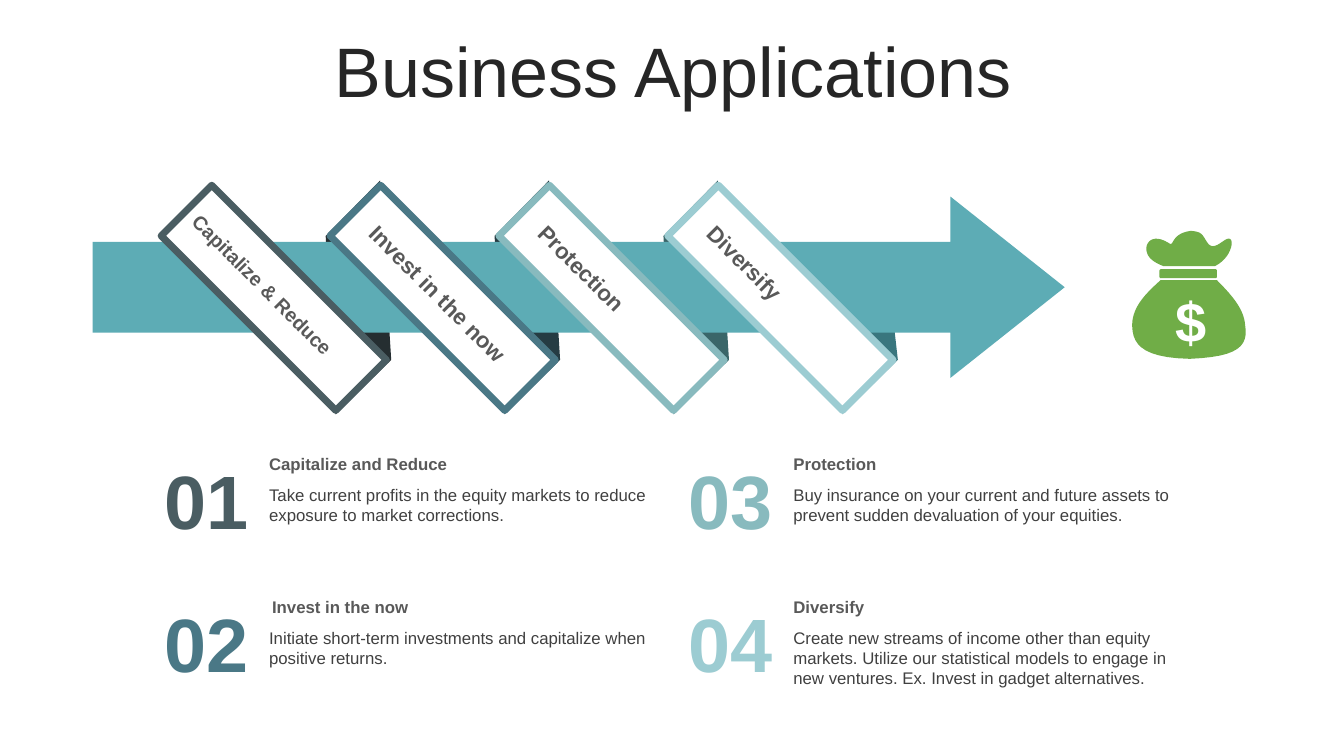
"""Build the Business Applications slide: a ribboned arrow above four numbered points."""
from pptx import Presentation
from pptx.dml.color import RGBColor
from pptx.enum.shapes import MSO_SHAPE
from pptx.enum.text import MSO_ANCHOR, MSO_AUTO_SIZE, PP_ALIGN
from pptx.util import Inches, Pt

COLORS = {
    "title": "262626", "label": "595959", "body": "404040", "white": "FFFFFF",
    "arrow": "5DACB5", "bag": "70AD47",
    "ribbons": ["4A5D62", "4A7886", "88BABE", "9CCCD2"],
    "folds": ["252E31", "253C43", "3A6669", "39767E"],
}
TITLE = "Business Applications"
POINTS = [
    ("Capitalize & Reduce", "Capitalize and Reduce",
     "Take current profits in the equity markets to reduce exposure to market corrections."),
    ("Invest in the now", "Invest in the now",
     "Initiate short-term investments and capitalize when positive returns."),
    ("Protection", "Protection",
     "Buy insurance on your current and future assets to prevent sudden devaluation of your equities."),
    ("Diversify", "Diversify",
     "Create new streams of income other than equity markets. Utilize our statistical models "
     "to engage in new ventures. Ex. Invest in gadget alternatives."),
]
STEP = 1.675
FOLD = [(3.23, 2.34), (3.33, 4.11), (3.88, 3.57), (3.77, 1.79)]
SACK = [(11.51, 2.78), (12.07, 2.78), (12.26, 2.97, 12.34, 3.09, 12.35, 3.23),
        (12.38, 3.43, 12.29, 3.54, 11.8, 3.56), (11.29, 3.55, 11.22, 3.39, 11.23, 3.19),
        (11.25, 3.05, 11.32, 2.95, 11.51, 2.78)]
RUFFLE = [(11.81, 2.29), (11.92, 2.3, 11.92, 2.32, 11.97, 2.4),
          (12.04, 2.52, 12.15, 2.34, 12.2, 2.37), (12.24, 2.39, 12.21, 2.56, 12.05, 2.64),
          (11.54, 2.64), (11.41, 2.59, 11.38, 2.54, 11.37, 2.48),
          (11.36, 2.41, 11.43, 2.31, 11.59, 2.41), (11.65, 2.46, 11.6, 2.32, 11.81, 2.29)]


def paint(shape, fill, edge=None):
    shape.shadow.inherit = False
    shape.fill.solid()
    shape.fill.fore_color.rgb = RGBColor.from_string(fill)
    if edge:
        shape.line.color.rgb = RGBColor.from_string(edge)
        shape.line.width = Pt(5)
    else:
        shape.line.fill.background()


def trace(steps, count=12):
    """Turn corners and cubic curves into plain points."""
    dots = [steps[0]]
    for step in steps[1:]:
        if len(step) == 2:
            dots.append(step)
            continue
        ends = [dots[-1], step[:2], step[2:4], step[4:]]
        for n in range(1, count + 1):
            t = n / count
            parts = ((1 - t) ** 3, 3 * t * (1 - t) ** 2, 3 * t * t * (1 - t), t ** 3)
            dots.append(tuple(sum(w * end[axis] for w, end in zip(parts, ends))
                              for axis in (0, 1)))
    return dots


def outline(shapes, steps, fill):
    dots = [(Inches(x), Inches(y)) for x, y in trace(steps)]
    pen = shapes.build_freeform(*dots[0], scale=1.0)
    pen.add_line_segments(dots[1:], close=True)
    paint(pen.convert_to_shape(), fill)


def block(shapes, kind, box, fill, edge=None):
    shape = shapes.add_shape(kind, *map(Inches, box))
    paint(shape, fill, edge)
    return shape


def style(frame, words, size, color, bold=False, align=PP_ALIGN.LEFT):
    frame.word_wrap = True
    frame.text = words
    para = frame.paragraphs[0]
    para.alignment = align
    font = para.runs[0].font
    for name, value in {"name": "Arial", "size": Pt(size), "bold": bold}.items():
        setattr(font, name, value)
    font.color.rgb = RGBColor.from_string(color)
    return para


def write(shapes, box, *look, turn=0, **more):
    text = shapes.add_textbox(*map(Inches, box))
    text.rotation = turn
    style(text.text_frame, *look, **more)


def main():
    deck = Presentation()
    deck.slide_width, deck.slide_height = Inches(13.33), Inches(7.5)
    slide = deck.slides.add_slide(deck.slide_layouts[5])
    shapes = slide.shapes

    title = shapes.title
    place = {"left": 0.35, "top": 0.37, "width": 12.66, "height": 0.79}
    for name, value in place.items():
        setattr(title, name, Inches(value))
    para = style(title.text_frame, TITLE, 50, COLORS["title"], align=PP_ALIGN.CENTER)
    para.line_spacing, para.space_before = 0.8, Pt(10)
    title.text_frame.vertical_anchor = MSO_ANCHOR.MIDDLE
    title.text_frame.auto_size = MSO_AUTO_SIZE.NONE

    for n, color in enumerate(COLORS["folds"]):
        peak = 2.6 if n == len(POINTS) - 1 else 0
        outline(shapes, [(x + n * STEP, max(y, peak)) for x, y in FOLD], color)

    arrow = block(shapes, MSO_SHAPE.RIGHT_ARROW, (0.92, 1.95, 9.64, 1.8), COLORS["arrow"])
    arrow.adjustments[1] = 0.63

    for n, color in enumerate(COLORS["ribbons"]):
        ribbon = block(shapes, MSO_SHAPE.RECTANGLE, (1.49 + n * STEP, 2.6, 2.45, 0.71),
                       COLORS["white"], color)
        ribbon.rotation = 45

    for n, (label, head, body) in enumerate(POINTS):
        box = (1.65 + n * STEP, 2.77, 2.12, 0.37) if n else (1.54, 2.73, 2.27, 0.34)
        write(shapes, box, label, 16 if n else 14, COLORS["label"], bold=True, turn=45)
        col, row = divmod(n, 2)
        left, top = 1.49 + col * 5.2, 4.45 + row * 1.42
        side = left + 1.08
        inset = 0.03 if n == 1 else 0
        write(shapes, (left, top, 1.11, 1.01), f"{n + 1:02}", 54, COLORS["ribbons"][n],
              bold=True, align=PP_ALIGN.CENTER)
        write(shapes, (side + inset, top, 4.09, 0.3), head, 12, COLORS["label"], bold=True)
        write(shapes, (side, top + 0.31, 4.12, 0.5), body, 12, COLORS["body"])

    for steps in (SACK, RUFFLE):
        outline(shapes, steps, COLORS["bag"])
    block(shapes, MSO_SHAPE.ROUNDED_RECTANGLE, (11.5, 2.67, 0.57, 0.09), COLORS["bag"])
    write(shapes, (11.51, 2.79, 0.6, 0.75), "$", 40, COLORS["white"],
          bold=True, align=PP_ALIGN.CENTER)
    deck.save("out.pptx")


if __name__ == "__main__":
    main()
